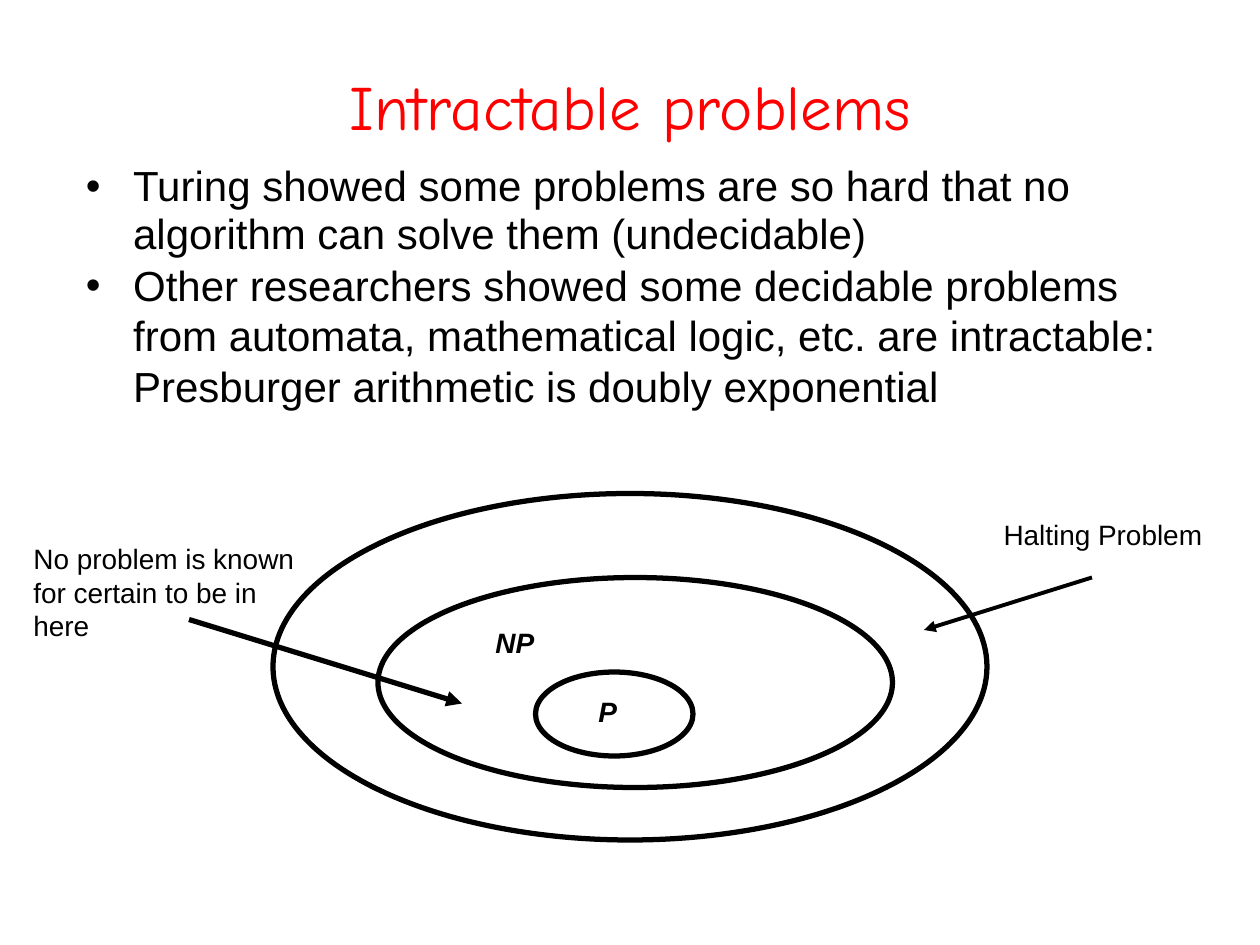
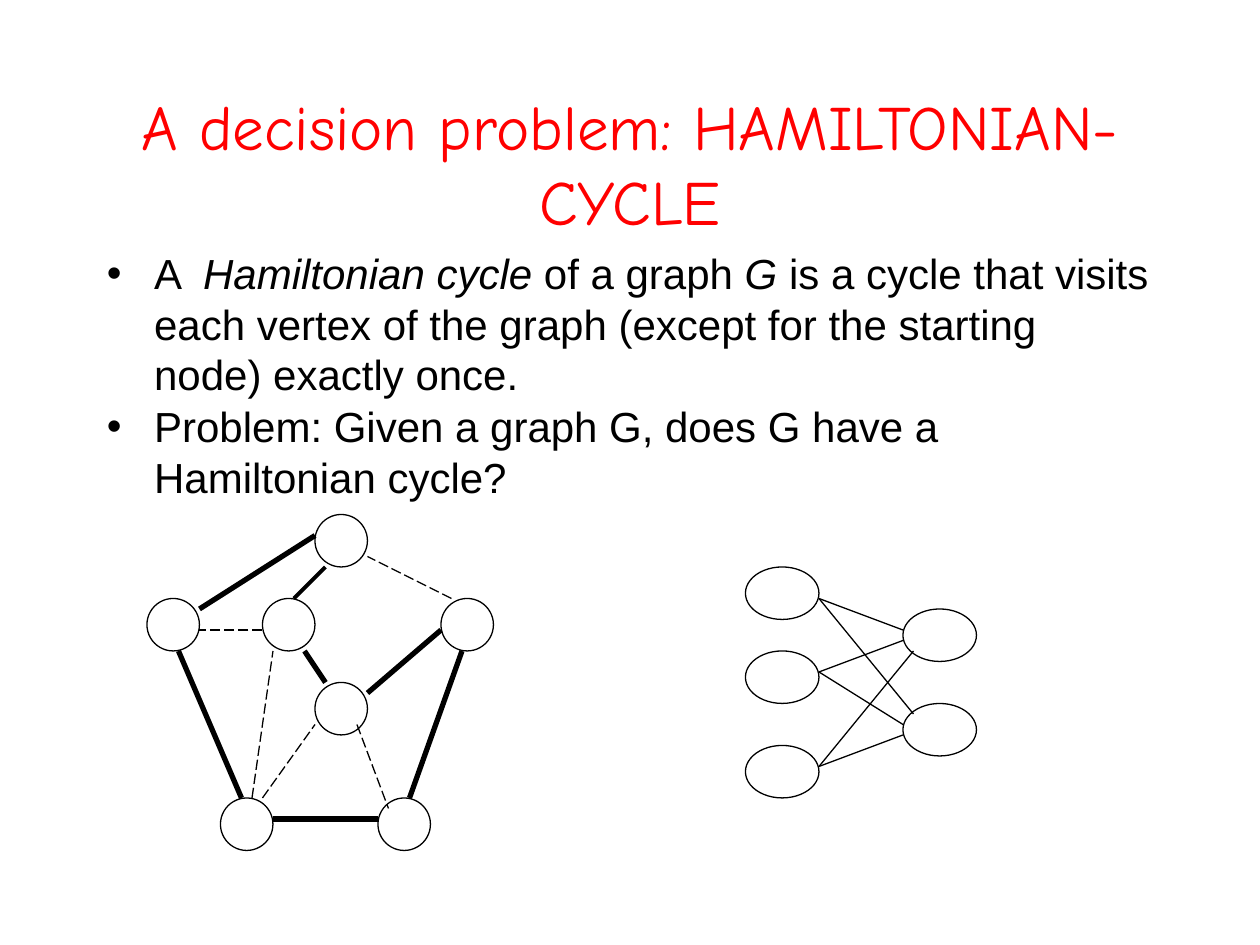
from pptx import Presentation
from pptx.dml.color import RGBColor
from pptx.enum.dml import MSO_LINE
from pptx.enum.shapes import MSO_CONNECTOR, MSO_SHAPE
from pptx.enum.text import MSO_ANCHOR, PP_ALIGN
from pptx.oxml.ns import qn
from pptx.util import Emu, Pt
from lxml.etree import SubElement

SCALE = 7620  # EMU per px, 120 px to the inch
RED = RGBColor(0xFF, 0x00, 0x00)
BLACK = RGBColor(0x00, 0x00, 0x00)
TITLE_FONT, BODY_FONT = "Comic Neue", "Arial"
BULLET_INDENT = 45
THIN, MEDIUM, THICK = 0.75, 2.25, 3


def px(*lengths):
    return [Emu(length * SCALE) for length in lengths]


def style(span, font, size, color, bold=False, italic=False):
    span.font.name, span.font.size = font, Pt(size)
    span.font.color.rgb = color
    span.font.bold, span.font.italic = bold, italic


def add_text_box(page, box, wrap=True):
    frame = page.shapes.add_textbox(*px(*box)).text_frame
    frame.word_wrap = wrap
    return frame


def add_title(page, box, text):
    frame = add_text_box(page, box)
    frame.text = text
    frame.vertical_anchor = MSO_ANCHOR.MIDDLE
    para = frame.paragraphs[0]
    para.alignment = PP_ALIGN.CENTER
    style(para.runs[0], TITLE_FONT, 36, RED)


def add_bullets(page, box, items, space_before=0, first_spacing=1.0):
    """Each item is a list of (text, italic) spans."""
    frame = add_text_box(page, box)
    for index, spans in enumerate(items):
        para = frame.paragraphs[0] if index == 0 else frame.add_paragraph()
        properties = para._p.get_or_add_pPr()
        properties.set("marL", str(BULLET_INDENT * SCALE))
        properties.set("indent", str(-BULLET_INDENT * SCALE))
        SubElement(properties, qn("a:buFont")).set("typeface", BODY_FONT)
        SubElement(properties, qn("a:buChar")).set("char", "•")
        if index == 0:
            para.line_spacing = first_spacing
        else:
            para.space_before = Pt(space_before)
        for text, italic in spans:
            span = para.add_run()
            span.text = text
            style(span, BODY_FONT, 24, BLACK, italic=italic)


def add_label(page, box, text, emphasis=False):
    frame = add_text_box(page, box, wrap=False)
    frame.text = text
    for para in frame.paragraphs:
        style(para.runs[0], BODY_FONT, 16, BLACK, emphasis, emphasis)


def add_ellipse(shapes, box, weight):
    ellipse = shapes.add_shape(MSO_SHAPE.OVAL, *px(*box))
    ellipse.shadow.inherit = False
    ellipse.fill.background()
    ellipse.line.color.rgb, ellipse.line.width = BLACK, Pt(weight)


def add_line(shapes, start, end, weight, dashed=False, arrow=False):
    line = shapes.add_connector(MSO_CONNECTOR.STRAIGHT, *px(*start, *end))
    line.line.color.rgb, line.line.width = BLACK, Pt(weight)
    if dashed:
        line.line.dash_style = MSO_LINE.LONG_DASH
    if arrow:
        SubElement(line.line._get_or_add_ln(), qn("a:tailEnd")).set("type", "triangle")
    SubElement(line._element.spPr, qn("a:effectLst"))


def add_class_diagram(page, left, top):
    """Nested complexity classes with two arrows from their notes."""
    def at(x, y, *size):
        return (left + x, top + y, *size)

    for box in [(240, 0, 680, 330), (340, 80, 490, 200), (490, 170, 150, 80)]:
        add_ellipse(page.shapes, at(*box), THICK)
    add_label(page, at(538, 186, 42, 44), "P", emphasis=True)
    add_label(page, at(440, 120, 61, 44), "NP", emphasis=True)
    add_line(page.shapes, at(160, 120), at(420, 200), THICK, arrow=True)
    add_label(page, at(0, 40, 272, 108),
              "No problem is known\nfor certain to be in\nhere")
    add_line(page.shapes, at(1020, 80), at(860, 130), MEDIUM, arrow=True)
    add_label(page, at(924, 17, 226, 44), "Halting Problem")


def add_graph(page, left, top, node_size, nodes, edges):
    """Edges are (start, end, weight, dashed), measured from the corner."""
    shapes = page.shapes.add_group_shape().shapes
    for x, y in nodes:
        add_ellipse(shapes, (left + x, top + y, *node_size), THIN)
    for (x1, y1), (x2, y2), weight, dashed in edges:
        add_line(shapes, (left + x1, top + y1), (left + x2, top + y2), weight, dashed)


def add_cycle_graph(page, left, top):
    nodes = [(0, 80), (70, 270), (220, 270), (280, 80), (160, 0), (160, 160), (110, 80)]
    cycle = [((160, 20), (50, 90)), ((30, 130), (90, 270)), ((120, 290), (220, 290)),
             ((250, 270), (300, 130)), ((280, 110), (210, 170)), ((150, 130), (170, 160))]
    unused = [((290, 80), (210, 40)), ((110, 110), (50, 110)), ((200, 200), (230, 280)),
              ((100, 270), (120, 130)), ((110, 270), (160, 200))]
    edges = [(*ends, THICK, False) for ends in cycle]
    edges.append(((140, 80), (170, 50), MEDIUM, False))
    edges += [(*ends, THIN, True) for ends in unused]
    add_graph(page, left, top, (50, 50), nodes, edges)


def add_bipartite_graph(page, left, top):
    nodes = [(0, y) for y in (0, 80, 170)] + [(150, y) for y in (40, 130)]
    targets = {30: [(150, 60), (160, 140)],
               100: [(150, 70), (150, 150)],
               190: [(160, 80), (150, 160)]}
    edges = [((70, y), end, THIN, False) for y, ends in targets.items() for end in ends]
    add_graph(page, left, top, (70, 50), nodes, edges)


def build_intractable_page(page):
    add_title(page, (90, 50, 1020, 100), "Intractable problems")
    add_bullets(page, (70, 150, 1070, 320), [
        [("Turing showed some problems are so hard that no algorithm can solve them "
          "(undecidable)", False)],
        [("Other researchers showed some decidable problems from automata, mathematical "
          "logic, etc. are intractable: Presburger arithmetic is doubly exponential", False)],
    ], first_spacing=0.95)
    add_class_diagram(page, 20, 470)


def build_hamiltonian_page(page):
    add_title(page, (90, 80, 1020, 150), "A decision problem: HAMILTONIAN-CYCLE")
    add_bullets(page, (90, 230, 1020, 570), [
        [("A  ", False), ("Hamiltonian cycle", True), (" of a graph ", False), ("G", True),
         (" is a cycle that visits each vertex of the graph (except for the starting node) "
          "exactly once.", False)],
        [("Problem: Given a graph G, does G have a Hamiltonian cycle?", False)],
    ], space_before=1.2)
    add_cycle_graph(page, 140, 490)
    add_bipartite_graph(page, 710, 540)


def main():
    deck = Presentation()
    deck.slide_width, deck.slide_height = px(1200, 900)
    for build in (build_intractable_page, build_hamiltonian_page):
        build(deck.slides.add_slide(deck.slide_layouts[6]))
    deck.save("out.pptx")


if __name__ == "__main__":
    main()
